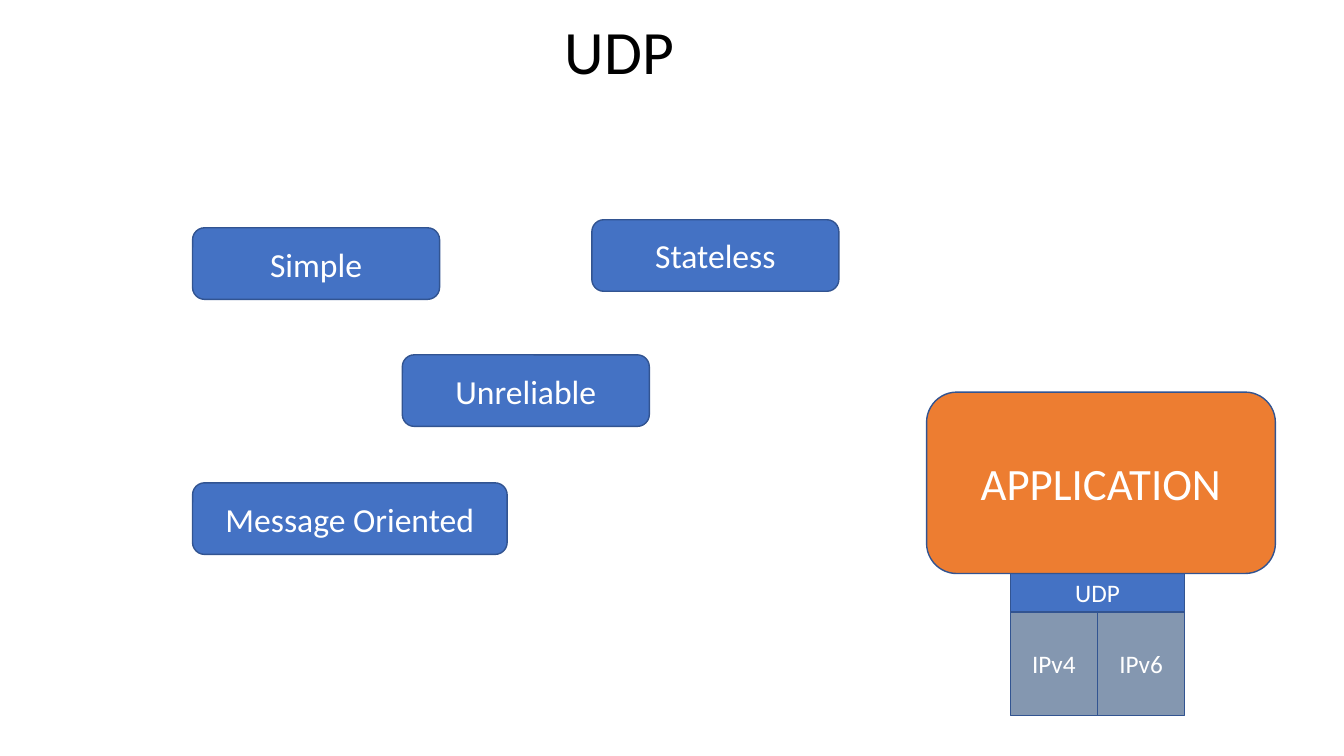
from pptx import Presentation
from pptx.dml.color import RGBColor
from pptx.enum.shapes import MSO_SHAPE as Kind
from pptx.enum.text import MSO_ANCHOR as Anchor, PP_ALIGN as Align, MSO_AUTO_SIZE as Fit
from pptx.util import Inches, Pt

BLUE = RGBColor(0x44, 0x72, 0xC4)
EDGE = RGBColor(0x32, 0x54, 0x91)
SLATE = RGBColor(0x84, 0x97, 0xB0)
ORANGE = RGBColor(0xED, 0x7D, 0x31)
WHITE = RGBColor(0xFF, 0xFF, 0xFF)
BLACK = RGBColor(0, 0, 0)


def write(shape, text, size, color):
    frame = shape.text_frame
    frame.word_wrap = True
    frame.auto_size = Fit.NONE
    frame.vertical_anchor = Anchor.MIDDLE
    para = frame.paragraphs[0]
    para.alignment = Align.CENTER
    run = para.add_run()
    run.text = text
    font = run.font
    font.name, font.size = "Calibri", Pt(size)
    font.color.rgb = color
    return para


def block(slide, kind, box, text, size, fill):
    shape = slide.shapes.add_shape(kind, *map(Inches, box))
    shape.shadow.inherit = False
    shape.fill.solid()
    shape.fill.fore_color.rgb = fill
    shape.line.color.rgb = EDGE
    shape.line.width = Pt(1)
    write(shape, text, size, WHITE)


def heading(slide, box, text):
    title = slide.shapes.title
    title.left, title.top, title.width, title.height = map(Inches, box)
    write(title, text, 44, BLACK).line_spacing = 0.9


def traits(slide, box):
    left, top, wide, high = box
    tall = 0.71
    cell = 2.45
    items = [
        ("Message Oriented", 0, high - tall, 3.12),
        ("Unreliable", 2.08, 1.34, cell),
        ("Stateless", wide - cell, 0, cell),
        ("Simple", 0, 0.08, cell),
    ]
    for text, x, y, width in items:
        spot = left + x, top + y, width, tall
        block(slide, Kind.ROUNDED_RECTANGLE, spot, text, 24, BLUE)


def stack(slide, box):
    left, top, wide, high = box
    app, bar = 1.8, 0.38
    base = wide / 2
    half = base / 2
    x = left + 0.83
    y = top + app
    low = y + bar
    for col, text in enumerate(("IPv4", "IPv6")):
        spot = x + col * half, low, half, top + high - low
        block(slide, Kind.RECTANGLE, spot, text, 18, SLATE)
    block(slide, Kind.RECTANGLE, (x, y, base, bar), "UDP", 18, BLUE)
    block(slide, Kind.ROUNDED_RECTANGLE, (left, top, wide, app),
          "APPLICATION", 32, ORANGE)


def main():
    deck = Presentation()
    deck.slide_width, deck.slide_height = Inches(13.33), Inches(7.5)
    slide = deck.slides.add_slide(deck.slide_layouts[5])
    heading(slide, (1.28, 0, 9.73, 1.09), "UDP")
    traits(slide, (1.91, 2.18, 6.41, 3.32))
    stack(slide, (9.19, 3.89, 3.46, 3.21))
    deck.save("out.pptx")


if __name__ == "__main__":
    main()
